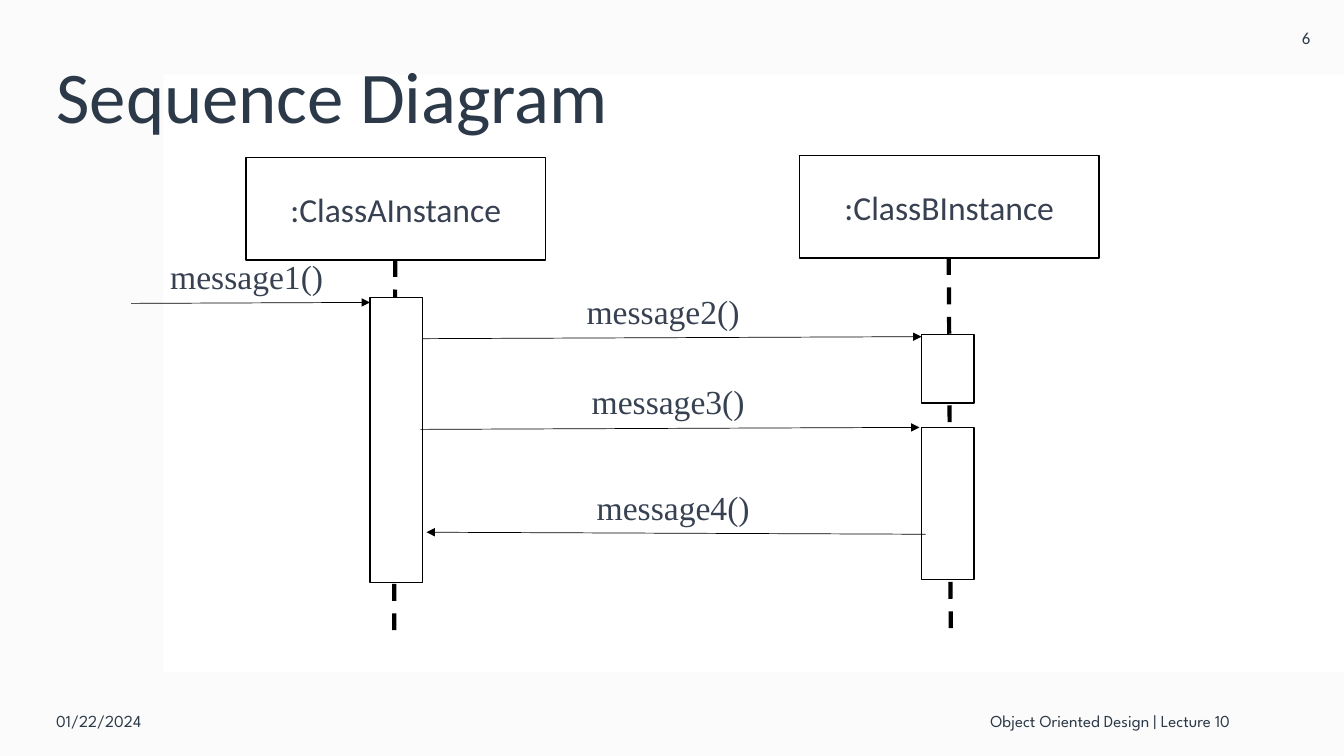
from lxml import etree
from pptx import Presentation
from pptx.dml.color import RGBColor
from pptx.enum.dml import MSO_LINE
from pptx.enum.shapes import MSO_CONNECTOR, MSO_SHAPE
from pptx.enum.text import MSO_ANCHOR, MSO_AUTO_SIZE, PP_ALIGN
from pptx.oxml.ns import qn
from pptx.util import Inches, Pt

RECTANGLE = MSO_SHAPE.RECTANGLE
STRAIGHT = MSO_CONNECTOR.STRAIGHT
DASH = MSO_LINE.DASH
MIDDLE, TOP = MSO_ANCHOR.MIDDLE, MSO_ANCHOR.TOP
LEFT, CENTER, RIGHT = PP_ALIGN.LEFT, PP_ALIGN.CENTER, PP_ALIGN.RIGHT
FIT_SHAPE, NO_FIT = MSO_AUTO_SIZE.SHAPE_TO_FIT_TEXT, MSO_AUTO_SIZE.NONE

COLORS = {
    "white": "FFFFFF",
    "veil": "F4F4F4",
    "heading": "2C3948",
    "body": "374151",
    "line": "000000",
}
BAR_WIDTH = 0.52


def rgb(name):
    return RGBColor.from_string(COLORS[name])


def write(shape, text, size, font, color, align=LEFT, anchor=MIDDLE):
    frame = shape.text_frame
    frame.vertical_anchor = anchor
    para = frame.paragraphs[0]
    para.alignment = align
    span = para.add_run()
    span.text = text
    span.font.size = Pt(size)
    span.font.name = font
    span.font.color.rgb = rgb(color)
    return para


def add_box(page, left, top, width, height, fill="white", outlined=True):
    box = page.shapes.add_shape(
        RECTANGLE, Inches(left), Inches(top), Inches(width), Inches(height))
    box.shadow.inherit = False
    box.fill.solid()
    box.fill.fore_color.rgb = rgb(fill)
    if outlined:
        box.line.color.rgb = rgb("line")
        box.line.width = Pt(1)
    else:
        box.line.fill.background()
    return box


def add_backdrop(page):
    veil = add_box(page, 0, 0, 13.33, 7.5, "veil", outlined=False)
    color = veil.fill._xPr.find(qn("a:solidFill"))[0]
    etree.SubElement(color, qn("a:alpha"), val="35000")
    add_box(page, 1.62, 0.74, 11.71, 5.93, outlined=False)


def add_title(page, text):
    title = page.shapes.title
    title.left, title.top = Inches(0.46), Inches(0.4)
    title.width, title.height = Inches(11.84), Inches(1.19)
    title.text_frame.auto_size = NO_FIT
    para = write(title, text, 52, "Calibri", "heading")
    para.line_spacing = 0.9
    title.element.getparent().append(title.element)


def add_label(page, left, top, width, height, text, font, align):
    label = page.shapes.add_textbox(
        Inches(left), Inches(top), Inches(width), Inches(height))
    label.text_frame.word_wrap = True
    write(label, text, 12, font, "heading", align)


def add_line(page, start, end, width):
    line = page.shapes.add_connector(
        STRAIGHT, *(Inches(value) for value in start + end))
    line.line.color.rgb = rgb("line")
    line.line.width = Pt(width)
    etree.SubElement(line.element.spPr, qn("a:effectLst"))
    return line


def add_lifeline(page, name, left, top, start, end):
    instance = add_box(page, left, top, 2.97, 1.02)
    write(instance, name, 24, "Calibri", "body", CENTER)
    add_line(page, start, end, 3).line.dash_style = DASH


def add_message(page, text, left, top, start, end):
    arrow = add_line(page, start, end, 0.5)
    etree.SubElement(arrow.line._get_or_add_ln(), qn("a:tailEnd"), type="triangle")
    label = page.shapes.add_textbox(
        Inches(left), Inches(top), Inches(1.73), Inches(0.5))
    label.text_frame.word_wrap = False
    label.text_frame.auto_size = FIT_SHAPE
    write(label, text, 24, "Times New Roman", "body", anchor=TOP)


def main():
    deck = Presentation()
    deck.slide_width, deck.slide_height = Inches(13.33), Inches(7.5)
    page = deck.slides.add_slide(deck.slide_layouts[5])

    add_backdrop(page)
    add_title(page, "Sequence Diagram")
    add_label(page, 12.58, 0, 0.75, 0.75, "6", "Calibri", CENTER)
    add_label(page, 0.46, 6.8, 3, 0.7, "01/22/2024", "League Spartan", LEFT)
    add_label(page, 4.12, 6.8, 8.18, 0.7, "Object Oriented Design | Lecture 10",
              "League Spartan", RIGHT)

    add_lifeline(page, ":ClassAInstance", 2.44, 1.56, (3.92, 2.58), (3.91, 6.31))
    add_lifeline(page, ":ClassBInstance", 7.93, 1.54, (9.41, 2.56), (9.43, 6.31))

    for left, top, height in ((3.67, 2.95, 2.83), (9.14, 3.32, 0.68), (9.14, 4.24, 1.51)):
        add_box(page, left, top, BAR_WIDTH, height)

    messages = (
        ("message1()", 1.59, 2.49, (1.3, 3.01), (3.67, 3)),
        ("message2()", 5.72, 2.84, (4.19, 3.36), (9.14, 3.34)),
        ("message3()", 5.77, 3.73, (4.17, 4.26), (9.12, 4.24)),
        ("message4()", 5.82, 4.78, (9.18, 5.3), (4.23, 5.28)),
    )
    for message in messages:
        add_message(page, *message)

    deck.save("out.pptx")


if __name__ == "__main__":
    main()
